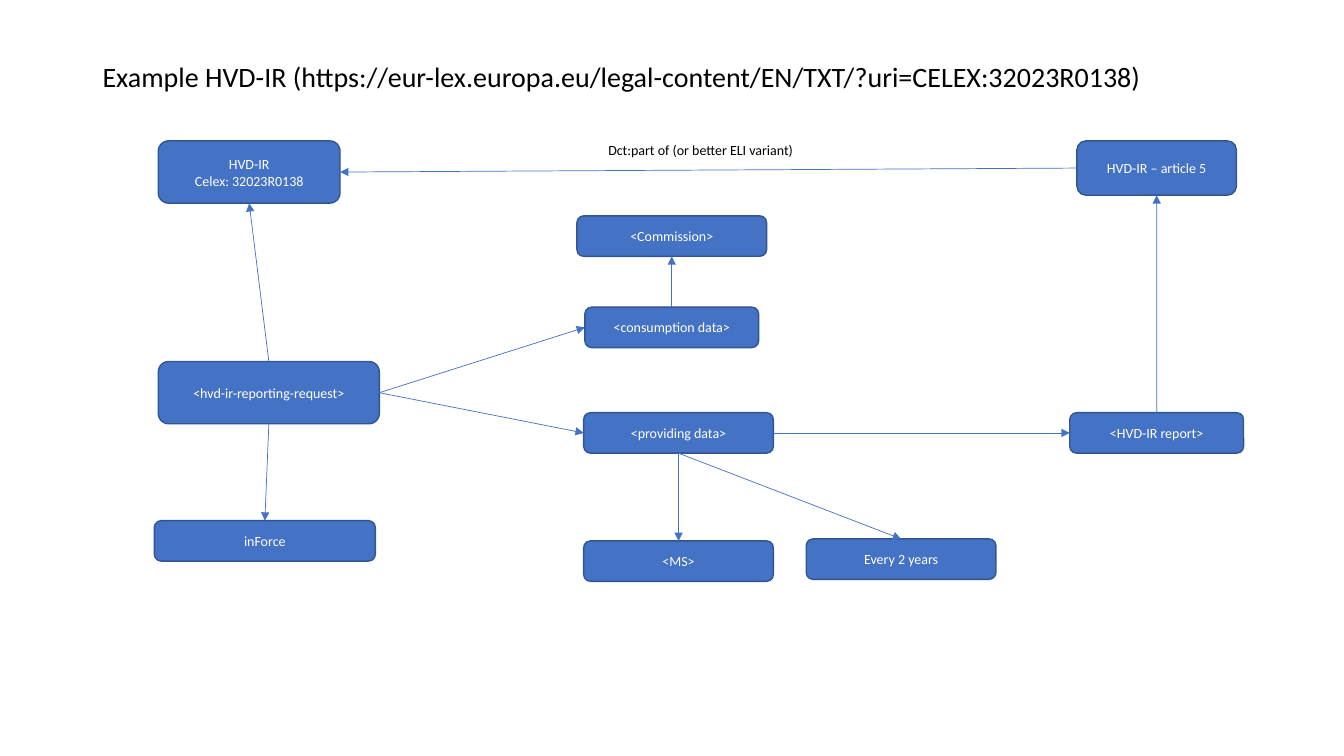
from dataclasses import dataclass

from pptx import Presentation
from pptx.dml.color import RGBColor
from pptx.enum.shapes import MSO_CONNECTOR, MSO_SHAPE
from pptx.enum.text import MSO_ANCHOR, MSO_AUTO_SIZE, PP_ALIGN
from pptx.oxml.ns import qn
from pptx.shapes.autoshape import Shape
from pptx.slide import Slide
from pptx.text.text import TextFrame
from pptx.util import Cm, Pt
from lxml import etree

ROUNDED = MSO_SHAPE.ROUNDED_RECTANGLE
STRAIGHT = MSO_CONNECTOR.STRAIGHT
MIDDLE, TOP_ANCHOR = MSO_ANCHOR.MIDDLE, MSO_ANCHOR.TOP
LEFT_ALIGN, CENTER = PP_ALIGN.LEFT, PP_ALIGN.CENTER
FIXED, GROW = MSO_AUTO_SIZE.NONE, MSO_AUTO_SIZE.SHAPE_TO_FIT_TEXT
TOP, LEFT, BOTTOM, RIGHT = range(4)
TITLE_ONLY = 5


@dataclass(frozen=True)
class Theme:
    font: str = "Calibri"
    fill: RGBColor = RGBColor(0x44, 0x72, 0xC4)
    border: RGBColor = RGBColor(0x32, 0x54, 0x91)
    dark: RGBColor = RGBColor(0, 0, 0)
    light: RGBColor = RGBColor(255, 255, 255)
    title_size: int = 20
    body_size: int = 10
    border_width: float = 1
    arrow_width: float = 0.5


@dataclass(frozen=True)
class Node:
    key: str
    text: str
    left: float
    top: float
    width: float
    height: float = 1.02


@dataclass(frozen=True)
class Arrow:
    start: str
    start_site: int
    end: str
    end_site: int


THEME = Theme()

NODES = [
    Node("regulation", "HVD-IR\nCelex: 32023R0138", 3.99, 3.55, 4.58, 1.57),
    Node("article", "HVD-IR – article 5", 27.14, 3.55, 4.02, 1.37),
    Node("request", "<hvd-ir-reporting-request>", 3.99, 9.11, 5.57, 1.57),
    Node("consumption", "<consumption data>", 14.74, 7.74, 4.38),
    Node("providing", "<providing data>", 14.71, 10.4, 4.78),
    Node("report", "<HVD-IR report>", 26.96, 10.4, 4.38),
    Node("states", "<MS>", 14.71, 13.63, 4.78),
    Node("commission", "<Commission>", 14.54, 5.44, 4.78),
    Node("period", "Every 2 years", 20.32, 13.58, 4.78),
    Node("status", "inForce", 3.89, 13.12, 5.57),
]

ARROWS = [
    Arrow("article", LEFT, "regulation", RIGHT),
    Arrow("request", RIGHT, "consumption", LEFT),
    Arrow("request", RIGHT, "providing", LEFT),
    Arrow("providing", RIGHT, "report", LEFT),
    Arrow("consumption", TOP, "commission", BOTTOM),
    Arrow("providing", BOTTOM, "states", TOP),
    Arrow("providing", BOTTOM, "period", TOP),
    Arrow("request", BOTTOM, "status", TOP),
    Arrow("request", TOP, "regulation", BOTTOM),
    Arrow("report", TOP, "article", BOTTOM),
]


def write(tf: TextFrame, text: str, *, size: float = THEME.body_size,
          color: RGBColor = THEME.dark, align: PP_ALIGN = LEFT_ALIGN,
          anchor: MSO_ANCHOR = MIDDLE, wrap: bool = True,
          fit: MSO_AUTO_SIZE = FIXED, spacing: float = 1.0) -> None:
    tf.text = text
    tf.word_wrap = wrap
    tf.auto_size = fit
    tf.vertical_anchor = anchor
    for p in tf.paragraphs:
        p.alignment = align
        p.line_spacing = spacing
        for r in p.runs:
            r.font.name = THEME.font
            r.font.size = Pt(size)
            r.font.color.rgb = color


def add_title(s: Slide, text: str) -> None:
    sp = s.shapes.title
    sp.left, sp.top, sp.width, sp.height = Cm(2.33), Cm(1.02), Cm(29.21), Cm(1.93)
    write(sp.text_frame, text, size=THEME.title_size, spacing=0.9)


def add_label(s: Slide, text: str) -> None:
    sp = s.shapes.add_textbox(Cm(15.08), Cm(3.45), Cm(5.26), Cm(0.69))
    write(sp.text_frame, text, anchor=TOP_ANCHOR, wrap=False, fit=GROW)


def add_node(s: Slide, node: Node) -> Shape:
    sp = s.shapes.add_shape(ROUNDED, Cm(node.left), Cm(node.top),
                            Cm(node.width), Cm(node.height))
    sp.shadow.inherit = False
    sp.fill.solid()
    sp.fill.fore_color.rgb = THEME.fill
    sp.line.color.rgb = THEME.border
    sp.line.width = Pt(THEME.border_width)
    write(sp.text_frame, node.text, color=THEME.light, align=CENTER)
    return sp


def add_arrow(s: Slide, arrow: Arrow, boxes: dict[str, Shape]) -> None:
    cx = s.shapes.add_connector(STRAIGHT, 0, 0, 0, 0)
    cx.begin_connect(boxes[arrow.start], arrow.start_site)
    cx.end_connect(boxes[arrow.end], arrow.end_site)
    cx.line.color.rgb = THEME.fill
    cx.line.width = Pt(THEME.arrow_width)
    etree.SubElement(cx.line._get_or_add_ln(), qn("a:tailEnd"), type="triangle")
    etree.SubElement(cx._element.spPr, qn("a:effectLst"))


def main() -> None:
    prs = Presentation()
    prs.slide_width, prs.slide_height = Cm(33.87), Cm(19.05)
    s = prs.slides.add_slide(prs.slide_layouts[TITLE_ONLY])
    add_title(s, "Example HVD-IR (https://eur-lex.europa.eu/legal-content/EN/TXT/"
                 "?uri=CELEX:32023R0138)")
    boxes = {node.key: add_node(s, node) for node in NODES}
    for arrow in ARROWS:
        add_arrow(s, arrow, boxes)
    add_label(s, "Dct:part of (or better ELI variant)")
    prs.save("out.pptx")


if __name__ == "__main__":
    main()
